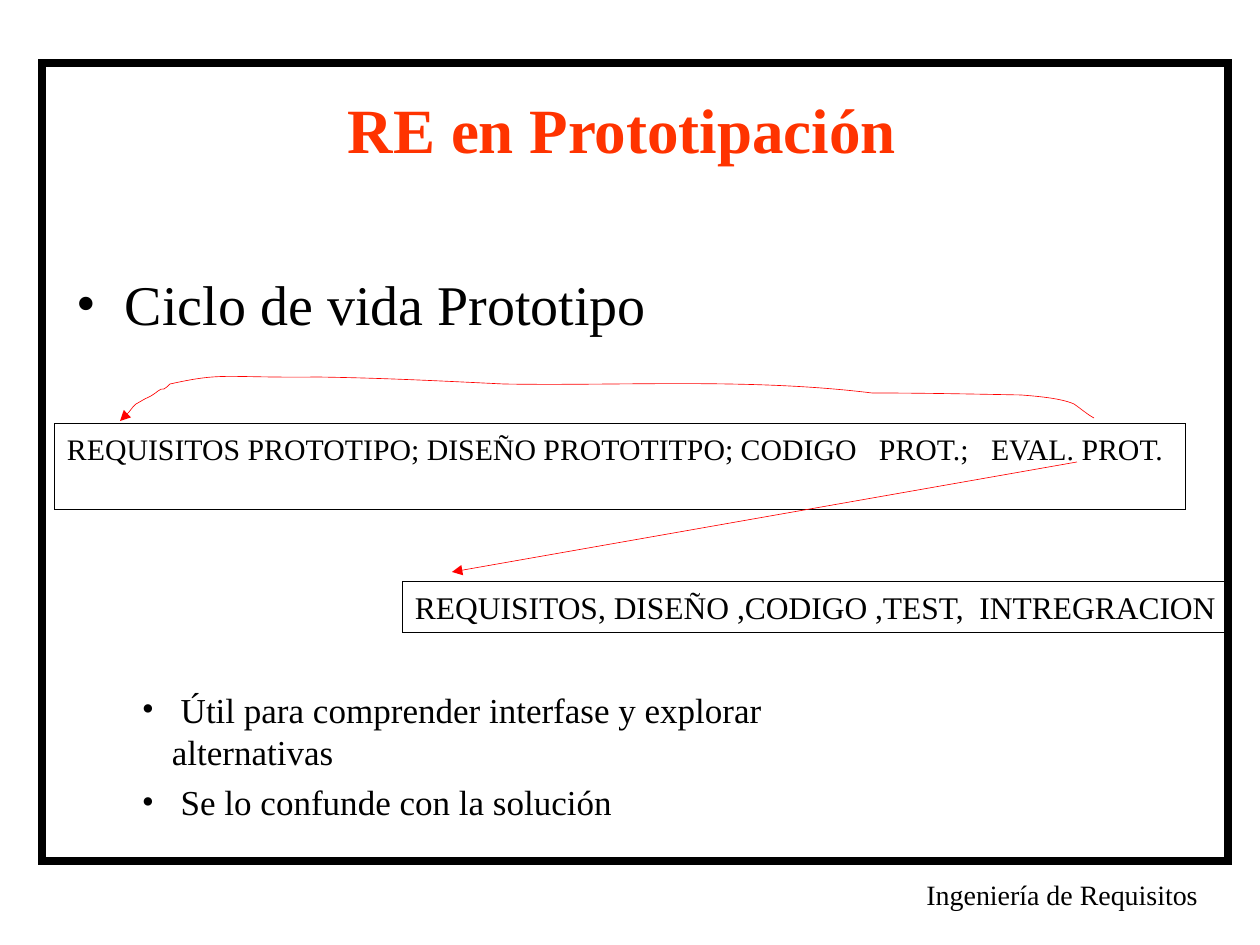
from lxml import etree
from pptx import Presentation
from pptx import util as u
from pptx.dml.color import RGBColor
from pptx.enum import shapes, text
from pptx.oxml.ns import qn

EMU_PER_PX = 914400 / 126
BLACK = RGBColor(0x00, 0x00, 0x00)
RED = RGBColor(0xFF, 0x00, 0x00)
ORANGE = RGBColor(0xFF, 0x33, 0x00)
FONT = "Times New Roman"
HAIRLINE = 0.37
INSETS = (13, 6, 13, 6)  # left, top, right, bottom

# Feedback loop: start point, then cubic curves (control, control, end)
LOOP_START = (1094, 418)
LOOP_CURVES = [
    ((1088, 415), (1080, 408), (1074, 404)),
    ((1061, 398), (1034, 396), (1021, 395)),
    ((970, 394), (921, 393), (872, 393)),
    ((751, 378), (622, 386), (504, 384)),
    ((441, 381), (384, 378), (318, 377)),
    ((222, 378), (224, 372), (170, 384)),
    ((168, 386), (166, 388), (164, 389)),
    ((162, 389), (160, 389), (158, 391)),
    ((156, 392), (155, 394), (154, 394)),
    ((152, 396), (150, 396), (149, 397)),
    ((144, 399), (140, 402), (136, 404)),
    ((132, 407), (130, 412), (126, 415)),
    ((120, 422), (125, 421), (120, 421)),
]


def px(n):
    return u.Emu(round(n * EMU_PER_PX))


class SlideBuilder:
    def __init__(self, prs):
        self.s = prs.slides.add_slide(prs.slide_layouts[5])

    def fill_text(self, sp, lines, size, color=BLACK, bold=False, before=0,
                  align=text.PP_ALIGN.LEFT, insets=INSETS, hang=0):
        tf = sp.text_frame
        tf.word_wrap = True
        tf.auto_size = text.MSO_AUTO_SIZE.NONE
        tf.vertical_anchor = text.MSO_ANCHOR.TOP
        (tf.margin_left, tf.margin_top,
         tf.margin_right, tf.margin_bottom) = map(px, insets)
        for i, line in enumerate(lines):
            p = tf.add_paragraph() if i else tf.paragraphs[0]
            p.alignment = align
            p.space_before = u.Pt(before)
            if hang:
                self.bullet(p, hang)
            r = p.add_run()
            r.text = line
            r.font.name = FONT
            r.font.size = u.Pt(size)
            r.font.bold = bold
            r.font.color.rgb = color

    def bullet(self, p, hang):
        pPr = p._p.get_or_add_pPr()
        pPr.set("marL", str(px(hang)))
        pPr.set("indent", str(-px(hang)))
        etree.SubElement(pPr, qn("a:buFont")).set("typeface", FONT)
        etree.SubElement(pPr, qn("a:buChar")).set("char", "•")

    def title(self, at, line):
        sp = self.s.shapes.title
        sp.left, sp.top, sp.width, sp.height = map(px, at)
        self.fill_text(sp, [line], 36, ORANGE, bold=True,
                       align=text.PP_ALIGN.CENTER)

    def label(self, at, lines, size, **style):
        sp = self.s.shapes.add_textbox(*map(px, at))
        self.fill_text(sp, lines, size, **style)

    def box(self, at, width=HAIRLINE):
        sp = self.s.shapes.add_shape(shapes.MSO_SHAPE.RECTANGLE, *map(px, at))
        sp.shadow.inherit = False
        sp.fill.background()
        sp.line.color.rgb = BLACK
        sp.line.width = u.Pt(width)
        ln = sp.line._get_or_add_ln()
        etree.SubElement(ln, qn("a:miter")).set("lim", "800000")
        return sp

    def text_box(self, at, line, size, top=6):
        self.fill_text(self.box(at), [line], size, before=4.5,
                       insets=(13, top, 0, 6))

    def arrow_line(self, sp):
        sp.line.color.rgb = RED
        sp.line.width = u.Pt(HAIRLINE)
        ln = sp.line._get_or_add_ln()
        etree.SubElement(ln, qn("a:tailEnd")).set("type", "triangle")

    def arrow(self, start, end):
        cx = self.s.shapes.add_connector(
            shapes.MSO_CONNECTOR.STRAIGHT, *map(px, start + end))
        self.arrow_line(cx)
        etree.SubElement(cx._element.spPr, qn("a:effectLst"))

    def curved_arrow(self, start, curves):
        fb = self.s.shapes.build_freeform(*map(px, start))
        fb.add_line_segments([tuple(map(px, c[-1])) for c in curves],
                             close=False)
        sp = fb.convert_to_shape()
        sp.shadow.inherit = False
        sp.fill.background()
        self.arrow_line(sp)
        # Bend each straight segment into its cubic curve
        segments = list(sp._element.iter(qn("a:lnTo")))
        for segment, curve in zip(segments, curves):
            bend = etree.Element(qn("a:cubicBezTo"))
            for x, y in curve:
                pt = etree.SubElement(bend, qn("a:pt"))
                pt.set("x", str(px(x) - sp.left))
                pt.set("y", str(px(y) - sp.top))
            segment.getparent().replace(segment, bend)


def main():
    prs = Presentation()
    prs.slide_width, prs.slide_height = px(1260), px(945)
    b = SlideBuilder(prs)

    # Frame, footer and title
    b.box((42, 63, 1186, 798), width=4.5)
    b.label((116, 872, 1092, 47), ["Ingeniería de Requisitos"], 16, before=10,
            align=text.PP_ALIGN.RIGHT, insets=(3, 6, 10, 6))
    b.title((55, 85, 1134, 157), "RE en Prototipación")

    # Main point
    b.label((64, 264, 1134, 680), ["Ciclo de vida Prototipo"], 32,
            before=8, hang=48)

    # Life cycle boxes and the arrows between them
    b.text_box((54, 423, 1131, 86),
               "REQUISITOS PROTOTIPO; DISEÑO PROTOTITPO; "
               "CODIGO   PROT.;   EVAL. PROT.", 17, top=8)
    b.text_box((402, 581, 829, 51),
               "REQUISITOS, DISEÑO ,CODIGO ,TEST,  INTREGRACION", 18, top=7)
    b.arrow((1077, 462), (452, 572))
    b.curved_arrow(LOOP_START, LOOP_CURVES)

    # Remarks
    b.label((129, 681, 798, 106),
            [" Útil para comprender interfase y explorar alternativas",
             " Se lo confunde con la solución"], 20, before=5, hang=30,
            insets=(13, 7, 13, 6))

    prs.save("out.pptx")


if __name__ == "__main__":
    main()
